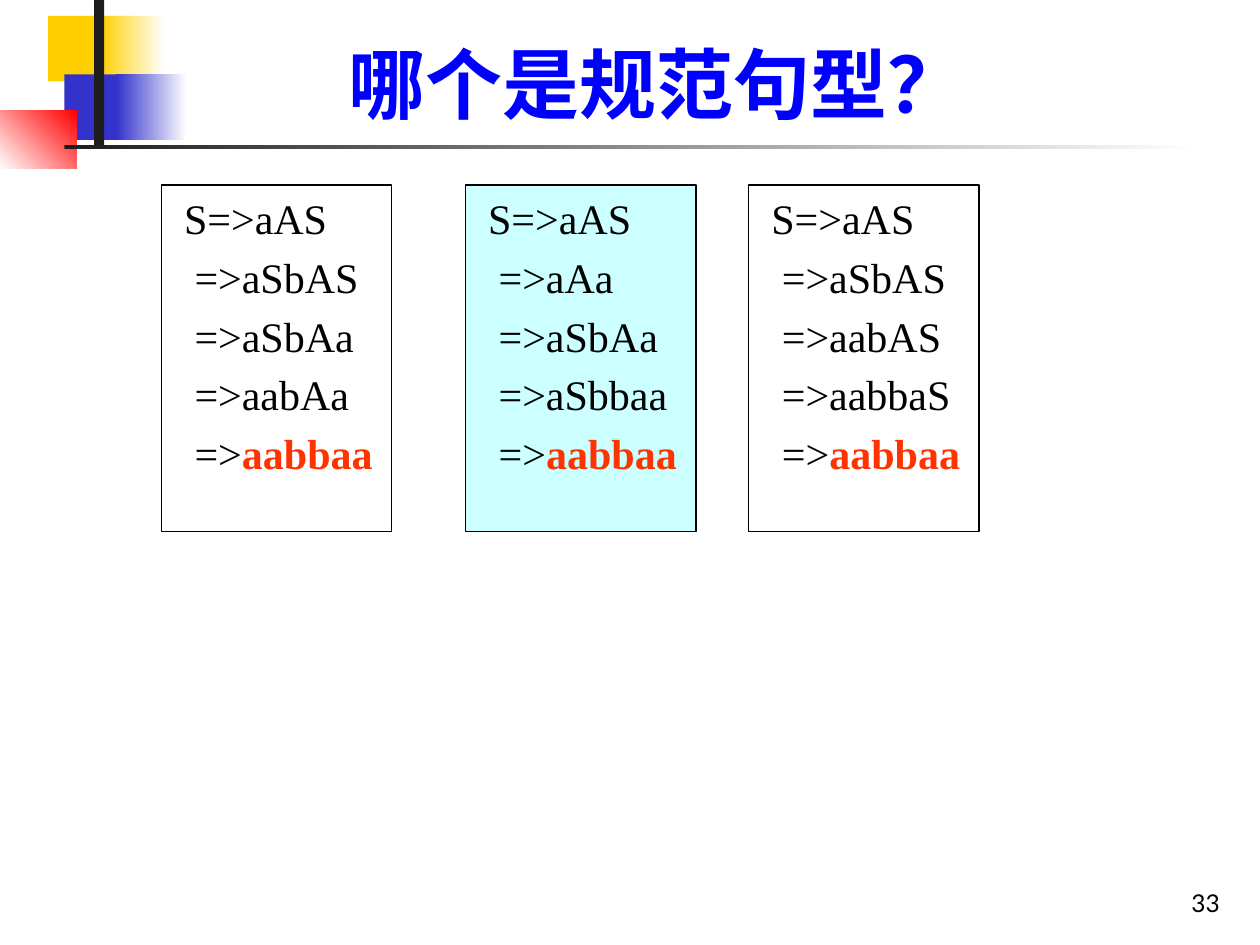
from dataclasses import dataclass

from pptx import Presentation
from pptx.dml.color import RGBColor
from pptx.enum.shapes import MSO_SHAPE
from pptx.enum.text import MSO_ANCHOR, PP_ALIGN
from pptx.util import Cm, Pt


@dataclass(frozen=True)
class Theme:
    yellow: str = "FFCF01"
    indigo: str = "3333CC"
    red: str = "FF0000"
    dark: str = "1C1C1C"
    white: str = "FFFFFF"
    black: str = "000000"
    title: str = "0000FF"
    sentence: str = "FF3300"
    cyan: str = "CCFFFF"
    serif: str = "Times New Roman"
    sans: str = "Lato"
    title_size: int = 44
    body_size: int = 24
    number_size: int = 14


THEME = Theme()


def rgb(value):
    return RGBColor.from_string(value)


def add_run(p, text, size, color, font=THEME.serif, bold=False):
    r = p.add_run()
    r.text = text
    r.font.name = font
    r.font.size = Pt(size)
    r.font.bold = bold
    r.font.color.rgb = rgb(color)


def add_rect(s, box, *colors, angle=0):
    """Rectangle with no fill, one solid color or a two-color gradient."""
    sp = s.shapes.add_shape(MSO_SHAPE.RECTANGLE, *map(Cm, box))
    sp.shadow.inherit = False
    sp.line.fill.background()
    if not colors:
        sp.fill.background()
    elif len(colors) == 1:
        sp.fill.solid()
        sp.fill.fore_color.rgb = rgb(colors[0])
    else:
        sp.fill.gradient()
        sp.fill.gradient_angle = angle
        for stop, color in zip(sp.fill.gradient_stops, colors):
            stop.color.rgb = rgb(color)
    return sp


def add_label(s, box, text, align, size, color, font, bold=False):
    tf = s.shapes.add_textbox(*map(Cm, box)).text_frame
    tf.word_wrap = True
    tf.vertical_anchor = MSO_ANCHOR.BOTTOM
    p = tf.paragraphs[0]
    p.alignment = align
    add_run(p, text, size, color, font, bold)


def add_derivation(s, left, steps, sentence, *fill):
    """Framed derivation that ends in the colored sentence."""
    sp = add_rect(s, (left, 3.73, 4.65, 6.99), *fill)
    sp.line.color.rgb = rgb(THEME.black)
    sp.line.width = Pt(0.75)
    tf = sp.text_frame
    tf.word_wrap = True
    tf.vertical_anchor = MSO_ANCHOR.TOP
    tf.margin_top = Cm(0.15)
    for i, step in enumerate([*steps, ""]):
        p = tf.add_paragraph() if i else tf.paragraphs[0]
        p.alignment = PP_ALIGN.JUSTIFY
        # Steps after the start symbol are set in by one more space width
        p_pr = p._p.get_or_add_pPr()
        p_pr.set("marL", str(Pt(12 if i else 6)))
        p_pr.set("indent", "0")
        if i:
            p.space_before = Pt(4.8)
        lead = "=>" if i else "S=>"
        add_run(p, lead + step, THEME.body_size, THEME.black)
    add_run(p, sentence, THEME.body_size, THEME.sentence, bold=True)


def add_decoration(s):
    t = THEME
    add_rect(s, (0.97, 0.32, 1.7, 1.32), t.yellow)
    add_rect(s, (2.03, 0.32, 1.27, 1.32), t.yellow, t.white)
    add_rect(s, (1.3, 1.5, 1.63, 1.32), t.indigo)
    add_rect(s, (2.34, 1.5, 1.42, 1.32), t.indigo, t.white)
    add_rect(s, (0, 2.23, 1.55, 1.17), t.white, t.red, angle=45)
    add_rect(s, (1.9, 0, 0.2, 2.92), t.dark)
    add_rect(s, (1.3, 2.92, 22.86, 0.08), t.dark, t.white)


def main():
    prs = Presentation()
    prs.slide_width, prs.slide_height = Cm(25.4), Cm(19.05)
    s = prs.slides.add_slide(prs.slide_layouts[6])

    # Corner blocks and rules
    add_decoration(s)

    # Page number and title
    add_label(s, (19.56, 17.35, 5.28, 1.27), "33", PP_ALIGN.RIGHT,
              THEME.number_size, THEME.black, THEME.sans)
    add_label(s, (3.2, 0.6, 20.09, 2.13), "哪个是规范句型？", PP_ALIGN.CENTER,
              THEME.title_size, THEME.title, THEME.serif, bold=True)

    # Three derivations of the same sentence
    sentence = "aabbaa"
    add_derivation(s, 3.25, ("aAS", "aSbAS", "aSbAa", "aabAa"), sentence)
    add_derivation(s, 9.38, ("aAS", "aAa", "aSbAa", "aSbbaa"), sentence,
                   THEME.cyan)
    add_derivation(s, 15.09, ("aAS", "aSbAS", "aabAS", "aabbaS"), sentence)

    prs.save("out.pptx")


if __name__ == "__main__":
    main()
